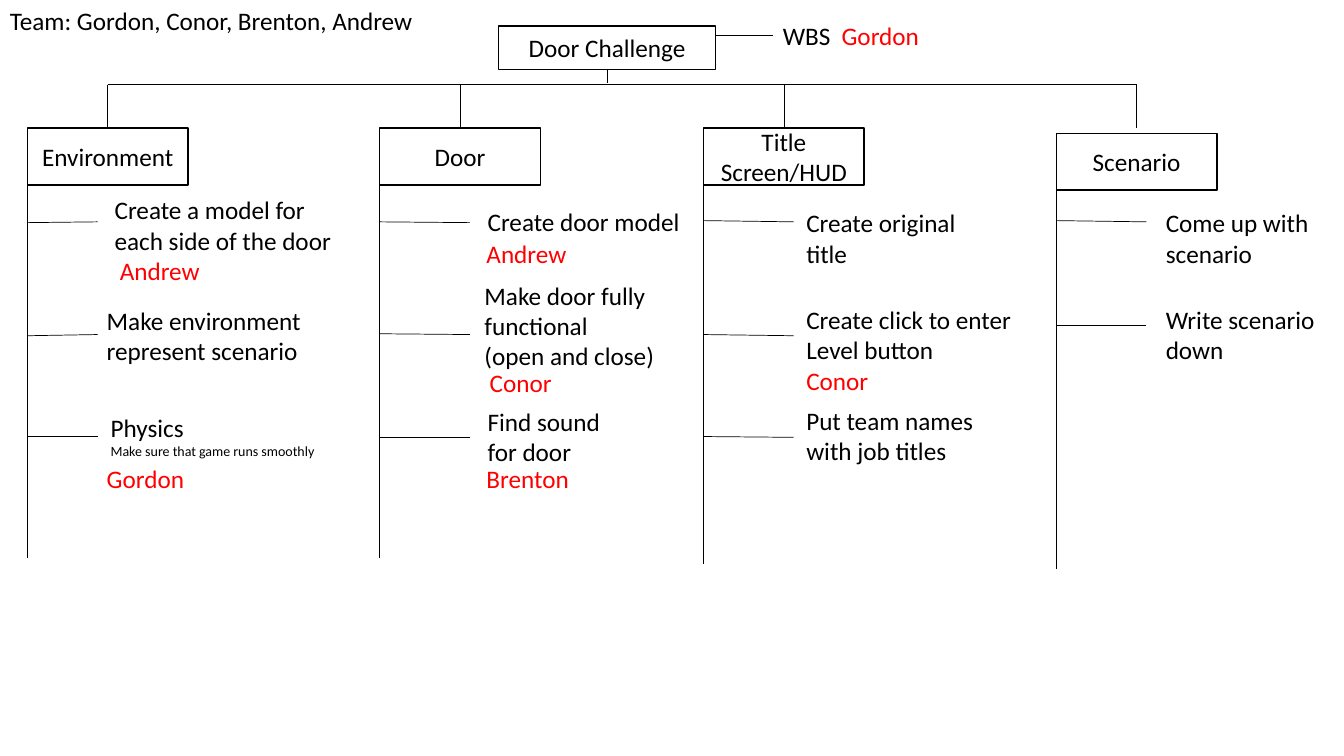
from dataclasses import dataclass
from lxml.etree import SubElement
from pptx import Presentation
from pptx.dml.color import RGBColor
from pptx.enum.shapes import MSO_CONNECTOR, MSO_SHAPE
from pptx.enum.text import MSO_ANCHOR, MSO_AUTO_SIZE, PP_ALIGN
from pptx.oxml.ns import qn
from pptx.util import Cm, Pt


@dataclass(frozen=True)
class Theme:
    """Colours, font and sizes of the chart."""
    ink: RGBColor = RGBColor(0, 0, 0)
    red: RGBColor = RGBColor(255, 0, 0)
    paper: RGBColor = RGBColor(255, 255, 255)
    font: str = "Calibri"
    body: int = 18
    small: int = 10
    edge: float = 1
    thin: float = 0.5


THEME = Theme()

# All lengths are in centimetres.
ROOT = ("Door Challenge", 12.57, 0.66, 5.46, 1.09)
BOX_W, BOX_H = 4.05, 1.43
BUS_Y, DROP_Y = 2.13, 3.23

# Tasks: left, top, width, lines. Owners: left, top, width, name.
# Ticks: start and end height of each branch.
TEAMS = [
    dict(name="Environment", left=0.69, top=3.23, foot=14.05, reach=1.77,
         ticks=[(5.61, 5.59), (8.46, 8.43), (11, 11)],
         tasks=[(2.64, 4.78, 6.05, ["Create a model for", "each side of the door"]),
                (2.44, 7.57, 5.46, ["Make environment", "represent scenario"]),
                (2.54, 10.26, 5.74, ["Physics", ("Make sure that game runs smoothly", THEME.small)])],
         owners=[(2.77, 6.3, 2.54, "Andrew"), (2.44, 11.56, 2.49, "Gordon")]),
    dict(name="Door", left=9.57, top=3.23, foot=14.05, reach=2.27,
         ticks=[(5.59, 5.61), (8.41, 8.43), (11.02, 11.02)],
         tasks=[(12.04, 5.08, 5.41, ["Create door model"]),
                (11.96, 6.93, 4.85, ["Make door fully", "functional", "(open and close)"]),
                (12.04, 10.11, 3.58, ["Find sound for door"], True)],
         owners=[(12.01, 5.89, 2.54, "Andrew"), (12.09, 9.14, 2.08, "Conor"),
                 (12.01, 11.56, 3.94, "Brenton", True)]),
    dict(name="Title Screen/HUD", left=17.73, top=3.23, foot=14.22, reach=2.27,
         ticks=[(5.56, 5.59), (8.43, 8.46), (11, 11.02)],
         tasks=[(20.07, 5.11, 4.47, ["Create original", "title"]),
                (20.07, 7.54, 5.89, ["Create click to enter", "Level button"]),
                (20.07, 10.08, 4.78, ["Put team names", "with job titles"])],
         owners=[(20.07, 9.09, 2.08, "Conor")]),
    dict(name="Scenario", left=26.62, top=3.36, foot=14.35, reach=2.27,
         ticks=[(5.56, 5.59), (8.2, 8.2)],
         tasks=[(29.13, 5.11, 4.29, ["Come up with", "scenario"]),
                (29.13, 7.54, 4.29, ["Write scenario", "down"])],
         owners=[]),
]
HEAD = [(0, 0, 10.8, ["Team: Gordon, Conor, Brenton, Andrew"]),
        (19.48, 0.38, 1.73, ["WBS"])]
CHIEF = (20.96, 0.38, 2.49, "Gordon")

deck = Presentation()
deck.slide_width, deck.slide_height = Cm(33.87), Cm(19.05)
slide = deck.slides.add_slide(deck.slide_layouts[6])


def write(para, text, size=THEME.body, color=THEME.ink):
    """Add one styled run to a paragraph."""
    run = para.add_run()
    run.text = text
    run.font.name, run.font.size = THEME.font, Pt(size)
    run.font.color.rgb = color


def box(text, left, top, wide, high):
    """Draw an outlined box with centred text."""
    shape = slide.shapes.add_shape(MSO_SHAPE.RECTANGLE, Cm(left), Cm(top), Cm(wide), Cm(high))
    shape.shadow.inherit = False
    shape.fill.solid()
    shape.fill.fore_color.rgb = THEME.paper
    shape.line.color.rgb, shape.line.width = THEME.ink, Pt(THEME.edge)
    frame = shape.text_frame
    frame.word_wrap, frame.vertical_anchor = True, MSO_ANCHOR.MIDDLE
    para = frame.paragraphs[0]
    para.alignment = PP_ALIGN.CENTER
    write(para, text)


def line(x1, y1, x2, y2):
    """Draw a thin line between two points."""
    link = slide.shapes.add_connector(MSO_CONNECTOR.STRAIGHT, Cm(x1), Cm(y1), Cm(x2), Cm(y2))
    link.line.color.rgb, link.line.width = THEME.ink, Pt(THEME.thin)
    SubElement(link._element.spPr, qn("a:effectLst"))


def note(left, top, wide, lines, wrap=False, color=THEME.ink):
    """Place a text box with one paragraph per line."""
    rows = [row if isinstance(row, tuple) else (row, THEME.body) for row in lines]
    high = 0.25 + sum(size * 0.043 for _, size in rows)
    frame = slide.shapes.add_textbox(Cm(left), Cm(top), Cm(wide), Cm(high)).text_frame
    frame.word_wrap, frame.auto_size = wrap, MSO_AUTO_SIZE.SHAPE_TO_FIT_TEXT
    for i, (text, size) in enumerate(rows):
        para = frame.add_paragraph() if i else frame.paragraphs[0]
        write(para, text, size, color)


def owner(left, top, wide, name, wrap=False):
    """Place the name of a task owner in red."""
    note(left, top, wide, [name], wrap, THEME.red)


def branch(team):
    """Draw one team: drop, box, spine, ticks, tasks and owners."""
    left, top = team["left"], team["top"]
    mid, base = left + BOX_W / 2, top + BOX_H
    line(mid, BUS_Y, mid, DROP_Y)
    box(team["name"], left, top, BOX_W, BOX_H)
    line(left, base, left, team["foot"])
    for start, end in team["ticks"]:
        line(left, start, left + team["reach"], end)
    for task in team["tasks"]:
        note(*task)
    for item in team["owners"]:
        owner(*item)


name, left, top, wide, high = ROOT
box(*ROOT)
line(left + wide / 2, top + high, left + wide / 2, 2.08)
line(left + wide, 0.88, HEAD[1][0], 0.88)
line(TEAMS[0]["left"] + BOX_W / 2, BUS_Y, TEAMS[-1]["left"] + BOX_W / 2, BUS_Y)
for team in TEAMS:
    branch(team)
for item in HEAD:
    note(*item)
owner(*CHIEF)

deck.save("out.pptx")
